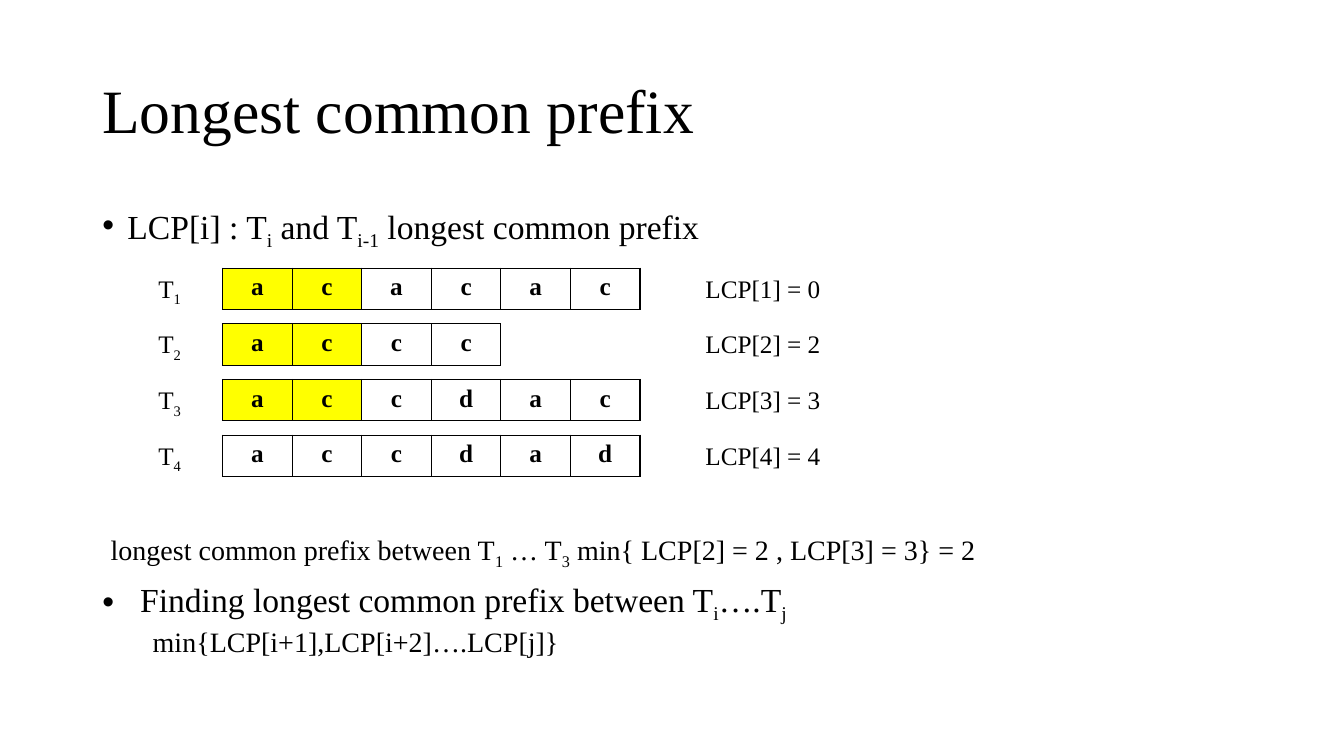
from lxml.etree import SubElement
from pptx import Presentation
from pptx.dml.color import RGBColor
from pptx.enum.text import MSO_ANCHOR, MSO_AUTO_SIZE, PP_ALIGN
from pptx.oxml.ns import qn
from pptx.util import Pt

BLACK = RGBColor(0x00, 0x00, 0x00)
YELLOW = RGBColor(0xFF, 0xFF, 0x00)
FONT = "Times New Roman"

SUFFIXES = [("acacac", 2), ("accc", 2), ("accdac", 2), ("accdad", 0)]
LCP_VALUES = [0, 2, 3, 4]
ROW_TOP, ROW_STEP = 191.5, 39.8
CELL_WIDTH, CELL_HEIGHT = 49.7, 29.5


def write(para, text, size=18, bold=False, align=None, indent=0, hanging=0,
          level=0, bullet=False, line_spacing=None):
    """Fill a paragraph; parts of the text between tildes become subscripts."""
    properties = para._p.get_or_add_pPr()
    properties.set("marL", str(Pt(indent)))
    properties.set("indent", str(Pt(-hanging)))
    if bullet:
        SubElement(properties, qn("a:buFont"), typeface="Arial")
        SubElement(properties, qn("a:buChar"), char="•")
    para.level = level
    para.alignment = align
    para.line_spacing = line_spacing
    for index, part in enumerate(text.split("~")):
        if not part:
            continue
        span = para.add_run()
        span.text = part
        span.font.name = FONT
        span.font.size = Pt(size)
        span.font.bold = bold
        span.font.color.rgb = BLACK
        if index % 2:
            span._r.get_or_add_rPr().set("baseline", "-25000")


class SlideBuilder:
    """Holds the current page and draws its elements."""

    def __init__(self, page):
        """Keep the page to draw on."""
        self.page = page

    def text_box(self, left, top, width, height, lines, wrap=False, grow=True,
                 anchor=MSO_ANCHOR.TOP):
        """Add a box with one paragraph for each (text, format) pair."""
        box = self.page.shapes.add_textbox(Pt(left), Pt(top), Pt(width), Pt(height))
        frame = box.text_frame
        frame.word_wrap = wrap
        frame.auto_size = MSO_AUTO_SIZE.SHAPE_TO_FIT_TEXT if grow else MSO_AUTO_SIZE.NONE
        frame.vertical_anchor = anchor
        for index, (text, style) in enumerate(lines):
            para = frame.add_paragraph() if index else frame.paragraphs[0]
            write(para, text, **style)

    def letter_row(self, left, top, letters, marked):
        """Add a one-row table of letters with the first ones highlighted."""
        count = len(letters)
        table = self.page.shapes.add_table(
            1, count, Pt(left), Pt(top), Pt(CELL_WIDTH * count), Pt(CELL_HEIGHT)).table
        table.first_row = False
        table.horz_banding = False
        for index, letter in enumerate(letters):
            table.columns[index].width = Pt(CELL_WIDTH)
            cell = table.cell(0, index)
            write(cell.text_frame.paragraphs[0], letter, bold=True, align=PP_ALIGN.CENTER)
            self.cell_borders(cell)
            if index < marked:
                cell.fill.solid()
                cell.fill.fore_color.rgb = YELLOW
            else:
                cell.fill.background()

    def cell_borders(self, cell):
        """Draw a thin black line on every side of a cell."""
        properties = cell._tc.get_or_add_tcPr()
        for side in ("lnL", "lnR", "lnT", "lnB"):
            line = SubElement(properties, qn(f"a:{side}"), w=str(Pt(1)))
            fill = SubElement(line, qn("a:solidFill"))
            SubElement(fill, qn("a:srgbClr"), val=str(BLACK))


def main():
    """Build the slide and save it."""
    deck = Presentation()
    deck.slide_width, deck.slide_height = Pt(960), Pt(540)
    builder = SlideBuilder(deck.slides.add_slide(deck.slide_layouts[6]))

    builder.text_box(66, 28.8, 828, 104.4,
                     [("Longest common prefix", dict(size=44, line_spacing=0.9))],
                     wrap=True, grow=False, anchor=MSO_ANCHOR.MIDDLE)
    builder.text_box(66, 144, 828, 342.7,
                     [("LCP[i] : T~i~ and T~i-1~ longest common prefix",
                       dict(size=24, indent=18, hanging=18, bullet=True, line_spacing=0.9))],
                     wrap=True, grow=False)

    for index, ((letters, marked), value) in enumerate(zip(SUFFIXES, LCP_VALUES)):
        top = ROW_TOP + index * ROW_STEP
        number = index + 1
        builder.letter_row(159, top, letters, marked)
        builder.text_box(106, top, 31.7, 29, [(f"T~{number}~", {})])
        builder.text_box(424.8, top, 170, 29,
                         [(f"LCP[{number}] = {value}", dict(level=2, indent=72))])

    builder.text_box(36, 376.6, 674.6, 31.5,
                     [("longest common prefix between T~1~ … T~3~ min{ LCP[2] = 2 , LCP[3] = 3} = 2",
                       dict(size=20, level=1, indent=36))])
    builder.text_box(66, 409.7, 635, 60.5,
                     [("Finding longest common prefix between T~i~….T~j~",
                       dict(size=24, indent=27, hanging=27, bullet=True)),
                      ("min{LCP[i+1],LCP[i+2]….LCP[j]}", dict(size=20, level=1, indent=36))],
                     wrap=True)

    deck.save("out.pptx")


if __name__ == "__main__":
    main()
